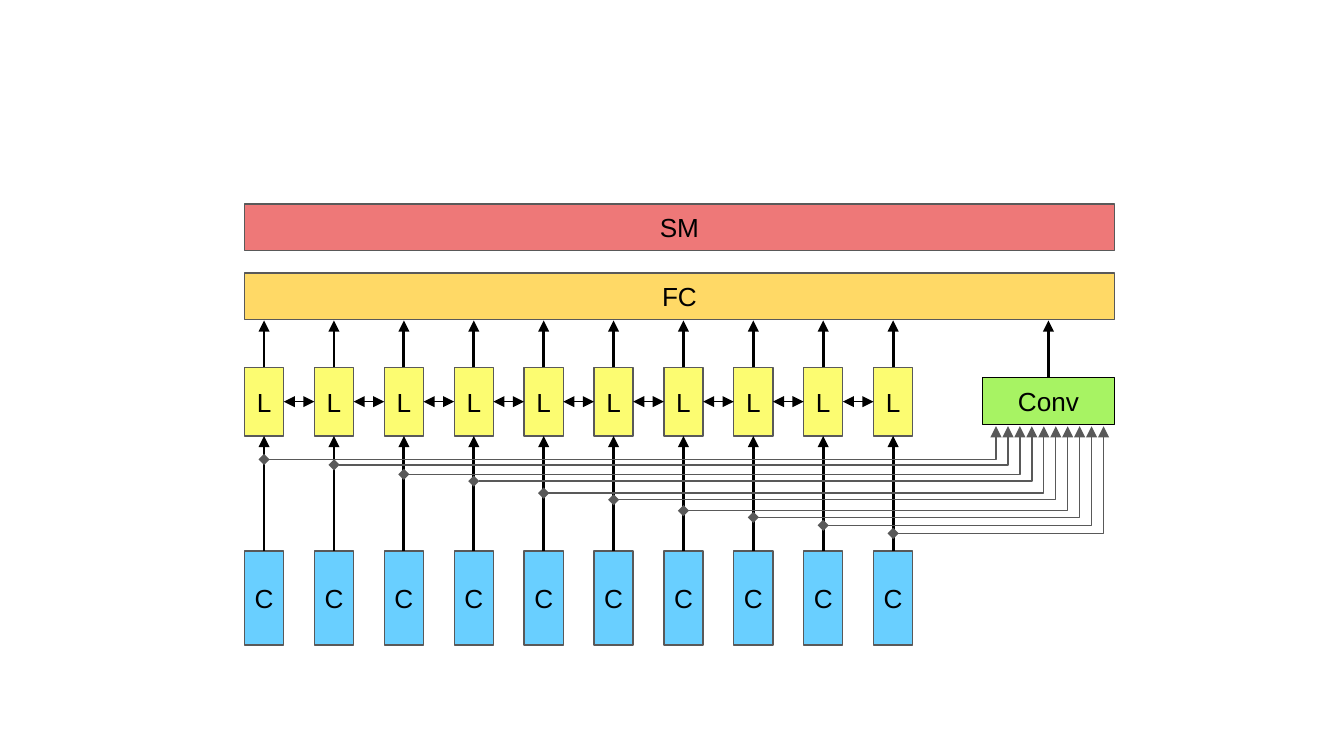
import pptx
import pptx.util
import pptx.dml.color
import pptx.enum.shapes
import pptx.enum.text
import pptx.oxml.ns
from lxml import etree

Pt = pptx.util.Pt
qn = pptx.oxml.ns.qn
KIND = pptx.enum.shapes.MSO_CONNECTOR
TOP, LEFT, BOTTOM, RIGHT = range(4)

# Content: label, fill, line, top and height of each layer
BARS = [("SM", "red", 109.4, 25), ("FC", "gold", 146.2, 25)]
CELL = ("L", "yellow", "gray", 196.8, 36.8)
CHAR = ("C", "blue", "gray", 295.2, 50.4)
CONV = ("Conv", "green", "black", 202.4, 25.2)
BUS = [246.2, 249.1, 254.2, 257.8, 264.2, 267.8, 273.6, 277.2, 281.5, 285.8]

THEME = {
    "red": "EE7878", "gold": "FFD966", "yellow": "FCFC71", "blue": "69CFFF",
    "green": "A7F363", "gray": "595959", "black": "000000",
    "font": "Arial", "size": 14, "thin": 0.75, "thick": 1.5,
}

# Grid
X, STEP, WIDE = 131, 37.44, 21
BAR_W = 466
CONV_X, CONV_W = 526.2, 71
PORT_X, PORT_GAP, PORT_Y = 533.6, 6.4, 228.4
TIP_Y = 171.7

deck = pptx.Presentation()
deck.slide_width, deck.slide_height = Pt(720), Pt(405)
shapes = deck.slides.add_slide(deck.slide_layouts[6]).shapes


def color(name):
    return pptx.dml.color.RGBColor.from_string(THEME[name])


def add_box(label, fill, line, x, y, w, h):
    box = shapes.add_shape(pptx.enum.shapes.MSO_SHAPE.RECTANGLE,
                           Pt(x), Pt(y), Pt(w), Pt(h))
    box.shadow.inherit = False
    box.fill.solid()
    box.fill.fore_color.rgb = color(fill)
    box.line.color.rgb = color(line)
    box.line.width = Pt(THEME["thin"])
    frame = box.text_frame
    frame.margin_left = frame.margin_right = 0
    frame.vertical_anchor = pptx.enum.text.MSO_ANCHOR.MIDDLE
    frame.text = label
    para = frame.paragraphs[0]
    para.alignment = pptx.enum.text.PP_ALIGN.CENTER
    font = para.runs[0].font
    font.name, font.size = THEME["font"], Pt(THEME["size"])
    font.color.rgb = color("black")
    return box


def add_link(start, end, width="thick", ink="black", head=None,
             kind=KIND.STRAIGHT):
    """Draw an arrow; each end is an (x, y) point or a (box, side) pair."""
    spots = [(0, 0) if hasattr(a, "text_frame") else (Pt(a), Pt(b))
             for a, b in (start, end)]
    link = shapes.add_connector(kind, *spots[0], *spots[1])
    for (part, side), join in ((start, link.begin_connect),
                               (end, link.end_connect)):
        if hasattr(part, "text_frame"):
            join(part, side)
    link.line.color.rgb = color(ink)
    link.line.width = Pt(THEME[width])
    props = link.element.spPr
    stroke = props.find(qn("a:ln"))
    if head:
        etree.SubElement(stroke, qn("a:headEnd"), type=head)
    etree.SubElement(stroke, qn("a:tailEnd"), type="triangle")
    etree.SubElement(props, qn("a:effectLst"))
    return link


# Full-width layers
for label, fill, y, h in BARS:
    add_box(label, fill, "gray", X, y, BAR_W, h)

# Columns: character, cell and the arrows above each
cells = []
for i in range(len(BUS)):
    x = X + i * STEP
    cell = add_box(*CELL[:3], x, CELL[3], WIDE, CELL[4])
    char = add_box(*CHAR[:3], x, CHAR[3], WIDE, CHAR[4])
    add_link((char, TOP), (cell, BOTTOM))
    add_link((cell, TOP), (x + WIDE / 2, TIP_Y))
    cells.append(cell)

# Two-way arrows between neighbouring cells
for left, right in zip(cells, cells[1:]):
    add_link((left, RIGHT), (right, LEFT), "thin", head="triangle")

# Convolution block
conv = add_box(*CONV[:3], CONV_X, CONV[3], CONV_W, CONV[4])
add_link((conv, TOP), (CONV_X + CONV_W / 2, TIP_Y))

# Taps from each column to the convolution, turning at the far end
for i, y in enumerate(BUS):
    tap = add_link((X + i * STEP + WIDE / 2, y),
                   (PORT_X + i * PORT_GAP, PORT_Y),
                   "thin", "gray", "diamond", KIND.ELBOW)
    guides = tap.element.spPr.find(qn("a:prstGeom")).find(qn("a:avLst"))
    etree.SubElement(guides, qn("a:gd"), name="adj1", fmla="val 100000")

deck.save("out.pptx")
